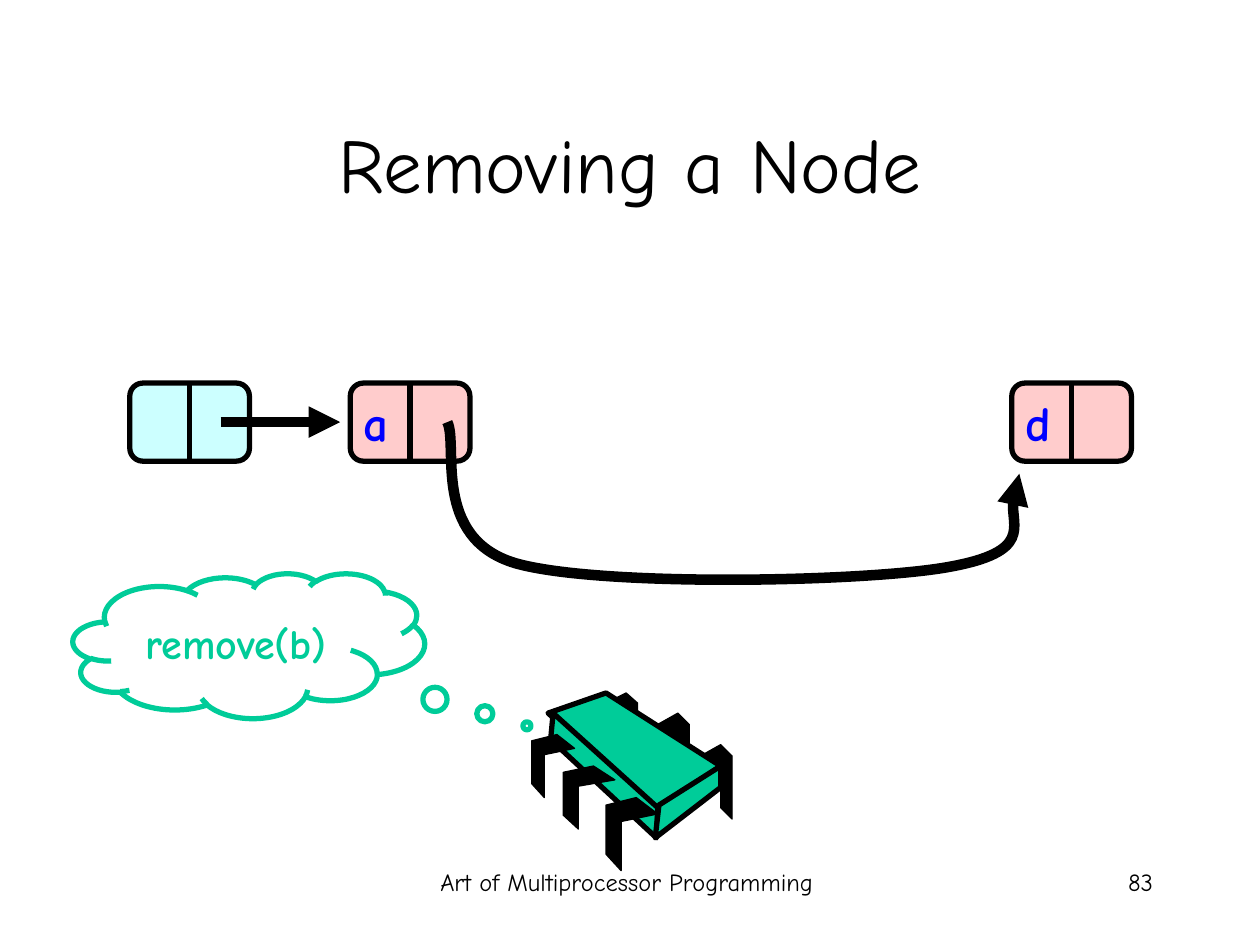
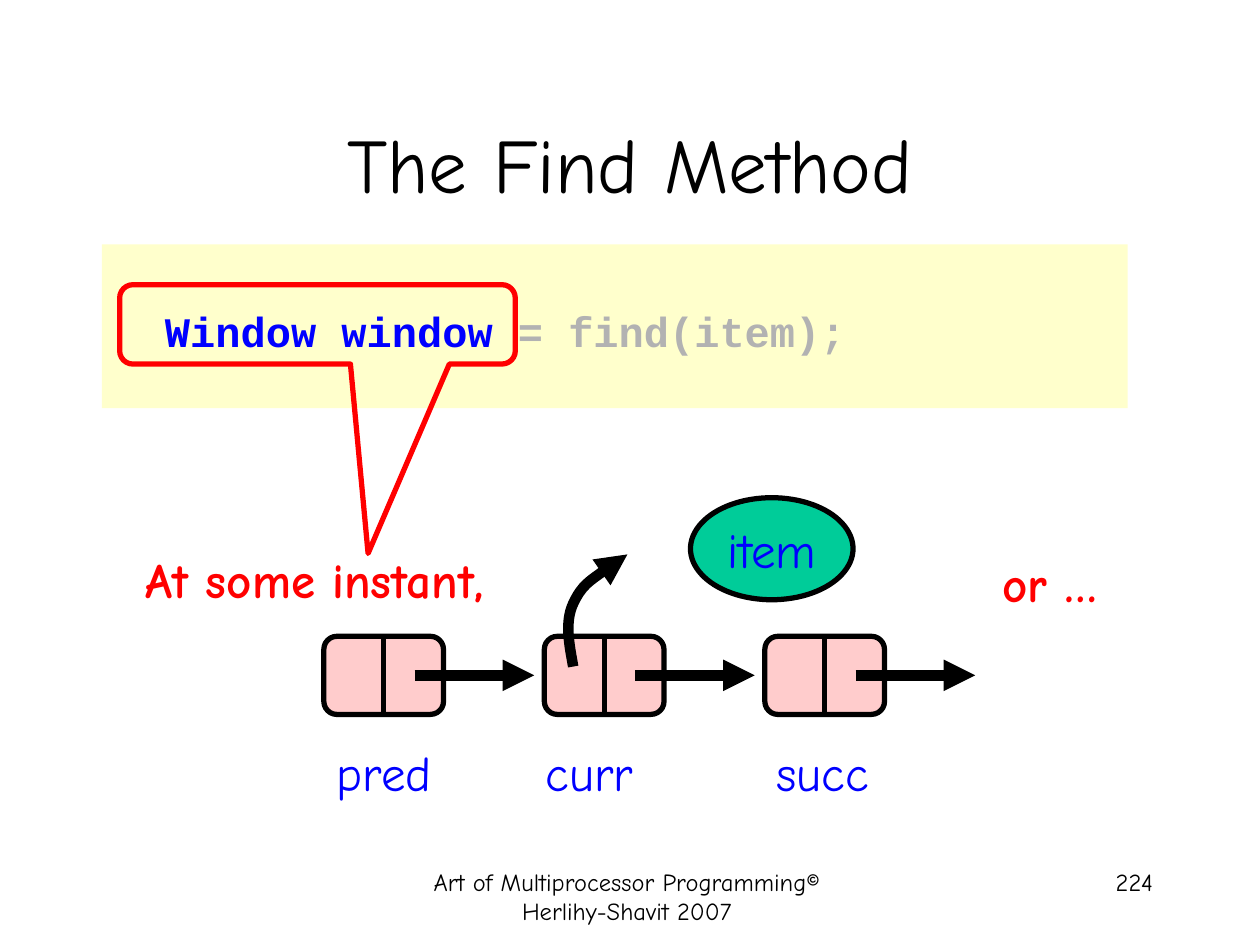
from lxml import etree
from pptx import Presentation
from pptx.dml.color import RGBColor
from pptx.enum.shapes import MSO_CONNECTOR, MSO_SHAPE
from pptx.enum.text import MSO_ANCHOR, PP_ALIGN
from pptx.oxml.ns import qn
from pptx.util import Pt

PX = 9144  # EMU per px, 100 px to the inch
PAGE_WIDTH, PAGE_HEIGHT = 1000, 750
TITLE_ONLY = 5

LEFT, CENTER, RIGHT = PP_ALIGN.LEFT, PP_ALIGN.CENTER, PP_ALIGN.RIGHT
TOP, MIDDLE = MSO_ANCHOR.TOP, MSO_ANCHOR.MIDDLE
STRAIGHT = MSO_CONNECTOR.STRAIGHT
RECTANGLE, ROUNDED, OVAL = MSO_SHAPE.RECTANGLE, MSO_SHAPE.ROUNDED_RECTANGLE, MSO_SHAPE.OVAL
CLOUD, CALLOUT = MSO_SHAPE.CLOUD_CALLOUT, MSO_SHAPE.ROUNDED_RECTANGULAR_CALLOUT

TEXT_FONT, CODE_FONT = "Comic Neue", "Courier New"
BLACK, BLUE, RED, GRAY = "000000", "0000FF", "FF0000", "B2B2B2"
CYAN, PINK, GREEN, YELLOW = "CCFFFF", "FFCCCC", "00CC99", "FFFFCC"

NODE_WIDTH, NODE_HEIGHT, NODE_PITCH = 95, 62, 175
ARROW_OFFSET, ARROW_LENGTH = 72, 95
NAME_WIDTH = 140

# Chip outlines, relative to the chip's corner
CHIP_FACES = [
    [(59, 0), (150, 58), (99, 93), (13, 16)],
    [(17, 16), (100, 91), (99, 115), (15, 37)],
    [(150, 58), (150, 75), (98, 115), (101, 89)],
]
REAR_PIN = [(0, 9), (16, 0), (25, 9), (25, 59), (16, 50), (16, 17), (0, 25)]
FRONT_PIN = [(24, 0), (41, 13), (12, 19), (12, 58), (0, 45), (0, 6)]
# Each pin: left, top, horizontal scale, vertical scale
REAR_PLACES = [(134, 41, 1, 1), (100, 16, 1, 1), (59, 0, 1, 0.86)]
FRONT_PLACES = [(59, 83, 1, 1), (25, 58, 1, 0.86), (0, 33, 0.82, 0.86)]


def px(*lengths):
    return [round(length * PX) for length in lengths]


def color(hex_string):
    return RGBColor.from_string(hex_string)


def paint(shape, fill=None, line=None, weight=3):
    shape.shadow.inherit = False
    if fill:
        shape.fill.solid()
        shape.fill.fore_color.rgb = color(fill)
    else:
        shape.fill.background()
    if line:
        shape.line.color.rgb = color(line)
        shape.line.width = Pt(weight)
    else:
        shape.line.fill.background()
    return shape


def write(shape, spans, size, align=CENTER, bold=False, font=TEXT_FONT, wrap=True, anchor=TOP):
    """Fill a shape with one paragraph of (text, colour) spans."""
    frame = shape.text_frame
    frame.word_wrap = wrap
    frame.vertical_anchor = anchor
    para = frame.paragraphs[0]
    para.alignment = align
    for text, hex_string in spans:
        span = para.add_run()
        span.text = text
        span.font.name = font
        span.font.size = Pt(size)
        span.font.bold = bold
        span.font.color.rgb = color(hex_string)


def add_text(shapes, box, text, size, hex_string, **style):
    write(shapes.add_textbox(*px(*box)), [(text, hex_string)], size, **style)


def add_preset(shapes, kind, box, fill=None, line=None, adjustments=()):
    shape = paint(shapes.add_shape(kind, *px(*box)), fill, line)
    for index, value in enumerate(adjustments):
        shape.adjustments[index] = value
    return shape


def add_line(shapes, start, end, weight):
    line = shapes.add_connector(STRAIGHT, *px(*start, *end))
    line.line.color.rgb = color(BLACK)
    line.line.width = Pt(weight)
    etree.SubElement(line._element.spPr, qn("a:effectLst"))
    return line


def add_outline(shapes, points, close=True):
    builder = shapes.build_freeform(*points[0], scale=PX)
    builder.add_line_segments(points[1:], close=close)
    return builder.convert_to_shape()


def add_arrowhead(line):
    stroke = line._element.spPr.find(qn("a:ln"))
    etree.SubElement(stroke, qn("a:tailEnd"), type="triangle")


def add_curved_arrow(shapes, points):
    """Draw a start point followed by triples of Bezier points."""
    curve = paint(add_outline(shapes, points, close=False), line=BLACK, weight=6)
    outline = curve._element.spPr.find(".//" + qn("a:path"))
    segments = outline.findall(qn("a:lnTo"))
    for first in range(0, len(segments), 3):
        bezier = etree.SubElement(outline, qn("a:cubicBezTo"))
        for segment in segments[first:first + 3]:
            bezier.append(segment[0])
            outline.remove(segment)
    add_arrowhead(curve)


def add_node(page, left, top, fill=PINK, label=None):
    """List node: a rounded box split in two, with an optional value."""
    shapes = page.shapes.add_group_shape().shapes
    body = add_preset(shapes, ROUNDED, (left, top, NODE_WIDTH, NODE_HEIGHT), fill, BLACK, [0.167])
    middle = left + NODE_WIDTH / 2
    divider = add_line(shapes, (middle, top), (middle, top + NODE_HEIGHT), 3)
    divider.begin_connect(body, 0)
    divider.end_connect(body, 2)
    if label:
        add_text(shapes, (left + 1, top + 3, 39, 57), label, 28, BLUE,
                 align=RIGHT, bold=True, wrap=False)


def add_next_arrow(page, left, top):
    start, middle = left + ARROW_OFFSET, top + NODE_HEIGHT / 2
    add_arrowhead(add_line(page.shapes, (start, middle), (start + ARROW_LENGTH, middle), 6))


def add_chip(page, left, top):
    shapes = page.shapes.add_group_shape().shapes

    def add_pins(pin, places):
        for x, y, wide, high in places:
            points = [(round(left + x + dx * wide), round(top + y + dy * high)) for dx, dy in pin]
            paint(add_outline(shapes, points), BLACK, BLACK, 0.75)

    add_pins(REAR_PIN, REAR_PLACES)
    for face in CHIP_FACES:
        points = [(left + x, top + y) for x, y in face]
        paint(add_outline(shapes, points), GREEN, BLACK)
    add_pins(FRONT_PIN, FRONT_PLACES)


def add_page(deck, title, footer, number):
    """Slide with the shared title, footer and page number."""
    page = deck.slides.add_slide(deck.slide_layouts[TITLE_ONLY])
    heading = page.shapes.title
    heading.left, heading.top, heading.width, heading.height = px(75, 67, 850, 125)
    write(heading, [(title, BLACK)], 44, anchor=MIDDLE)
    add_text(page.shapes, (310, 683, 375, 50), footer, 14, BLACK)
    add_text(page.shapes, (717, 683, 208, 50), number, 14, BLACK, align=RIGHT)
    return page


def add_code_band(page, left, top):
    band = add_preset(page.shapes, RECTANGLE, (left, top, 814, 130), YELLOW)
    write(band, [("Window window ", BLUE), ("= find(item);", GRAY)], 24,
          align=LEFT, bold=True, font=CODE_FONT, anchor=MIDDLE)
    band.text_frame.margin_left, band.text_frame.margin_top = px(50, 12)
    # Callout around the declaration
    add_preset(page.shapes, CALLOUT, (left + 14, top + 32, 314, 63),
               line=RED, adjustments=[0.128, 2.886, 0.167])


def build_removal(deck):
    page = add_page(deck, "Removing a Node", "Art of Multiprocessor Programming", "83")
    # List with the removed node bypassed
    left, top = 103, 304
    for slot, fill, label in [(0, CYAN, None), (1, PINK, "a"), (4, PINK, "d")]:
        add_node(page, left + slot * NODE_PITCH, top, fill, label)
    add_next_arrow(page, left, top)
    add_curved_arrow(page.shapes, [
        (355, 335), (364, 353), (342, 427), (409, 447), (475, 466),
        (687, 462), (753, 450), (820, 438), (797, 391), (809, 376)])
    # Thread and its call
    add_chip(page, 422, 550)
    cloud = add_preset(page.shapes, CLOUD, (58, 455, 279, 115),
                       line=GREEN, adjustments=[0.791, 0.553])
    write(cloud, [("remove(b)", GREEN)], 24, bold=True, anchor=MIDDLE)


def build_find(deck):
    page = add_page(deck, "The Find Method",
                    "Art of Multiprocessor Programming© Herlihy-Shavit 2007", "224")
    add_code_band(page, 81, 194)
    # Remarks
    add_text(page.shapes, (43, 431, 427, 57), "At some instant, ", 28, RED, bold=True)
    add_text(page.shapes, (747, 434, 172, 57), "or …", 28, RED, bold=True)
    # Window of nodes
    left, top = 257, 505
    lefts = [left + slot * NODE_PITCH for slot in range(3)]
    for node_left in lefts:
        add_node(page, node_left, top)
    for node_left in lefts:
        add_next_arrow(page, node_left, top)
    for name, center in [("pred", 305), ("curr", 468), ("succ", 653)]:
        add_text(page.shapes, (center - NAME_WIDTH / 2, top + 79, NAME_WIDTH, 57), name, 28, BLUE)
    # Item that the current node refers to
    item = add_preset(page.shapes, OVAL, (548, 395, 129, 81), GREEN, BLACK)
    write(item, [("item", BLUE)], 28, wrap=False, anchor=MIDDLE)
    add_curved_arrow(page.shapes, [
        (455, 529), (452, 512), (448, 494), (455, 479), (462, 464), (480, 452), (498, 440)])


def main():
    deck = Presentation()
    deck.slide_width, deck.slide_height = px(PAGE_WIDTH, PAGE_HEIGHT)
    build_removal(deck)
    build_find(deck)
    deck.save("out.pptx")


if __name__ == "__main__":
    main()
